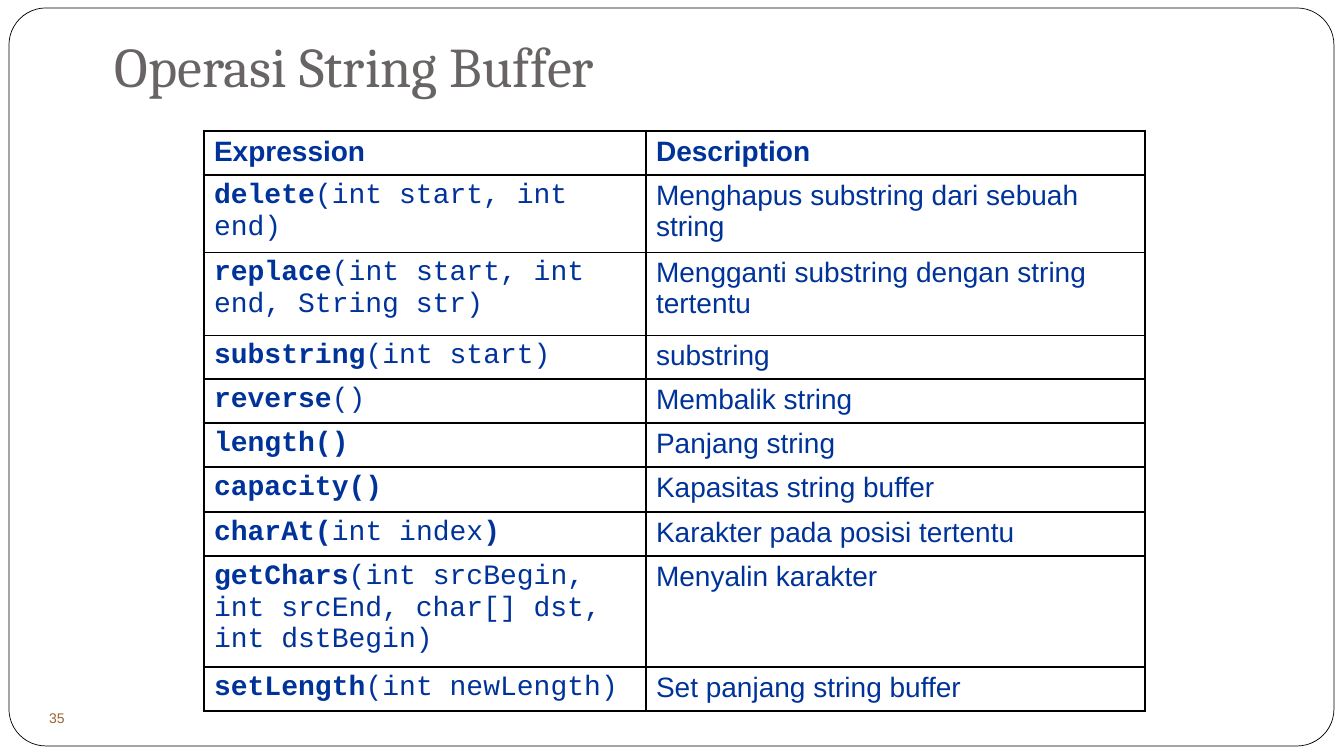
from lxml import etree
from pptx import Presentation
from pptx import util as u
from pptx.dml.color import RGBColor
from pptx.enum import shapes, text
from pptx.oxml.ns import qn

SCALE = 914400 / 100.8
COLORS = {"paper": "FFFFFF", "ink": "000000", "title": "696464", "table": "003399", "number": "996633"}
SANS, MONO = "Arial", "Courier New"
COLUMNS = [442, 499]
ROW_HEIGHTS = [44, 77, 83, 43, 44, 44, 45, 44, 111, 44]
OPERATIONS = [
    ([("delete", True), ("(int start, int end)", False)], "Menghapus substring dari sebuah string"),
    ([("replace", True), ("(int start, int end, String str)", False)],
     "Mengganti substring dengan string tertentu"),
    ([("substring", True), ("(int start)", False)], "substring"),
    ([("reverse", True), ("()", False)], "Membalik string"),
    ([("length()", True)], "Panjang string"),
    ([("capacity()", True)], "Kapasitas string buffer"),
    ([("charAt(", True), ("int index", False), (")", True)], "Karakter pada posisi tertentu"),
    ([("getChars", True), ("(int srcBegin, int srcEnd, char[] dst, int dstBegin)", False)],
     "Menyalin karakter"),
    ([("setLength", True), ("(int newLength)", False)], "Set panjang string buffer"),
]


def px(length):
    """Turn pixels into EMU."""
    return u.Emu(round(length * SCALE))


def color(name):
    """Look up a named colour."""
    return RGBColor.from_string(COLORS[name])


def add_run(paragraph, words, font, size, color_name, bold=False):
    """Append one formatted run to a paragraph."""
    run = paragraph.add_run()
    run.text = words
    run.font.name = font
    run.font.size = u.Pt(size)
    run.font.bold = bold
    run.font.color.rgb = color(color_name)


def set_margins(frame, left, top, right, bottom):
    """Set the inner margins of a text frame."""
    frame.margin_left, frame.margin_top = px(left), px(top)
    frame.margin_right, frame.margin_bottom = px(right), px(bottom)


def add_frame(slide):
    """Draw the rounded border of the slide."""
    shape = slide.shapes.add_shape(
        shapes.MSO_SHAPE.ROUNDED_RECTANGLE, px(9), px(8), px(1325), px(738))
    shape.adjustments[0] = 0.05
    shape.shadow.inherit = False
    shape.fill.solid()
    shape.fill.fore_color.rgb = color("paper")
    shape.line.color.rgb = color("ink")
    shape.line.width = u.Pt(0.5)


def add_number(slide, number):
    """Place the slide number in an unfilled ellipse."""
    shape = slide.shapes.add_shape(shapes.MSO_SHAPE.OVAL, px(21), px(684), px(68), px(50))
    shape.shadow.inherit = False
    shape.fill.background()
    shape.line.fill.background()
    frame = shape.text_frame
    set_margins(frame, 4, 18, 0, 0)
    frame.word_wrap = False
    frame.vertical_anchor = text.MSO_ANCHOR.MIDDLE
    paragraph = frame.paragraphs[0]
    paragraph.alignment = text.PP_ALIGN.CENTER
    add_run(paragraph, number, SANS, 10, "number")


def add_title(slide, words):
    """Write the slide title."""
    frame = slide.shapes.add_textbox(px(105), px(25), px(1183), px(84)).text_frame
    set_margins(frame, 10, 5, 10, 10)
    frame.word_wrap = True
    frame.vertical_anchor = text.MSO_ANCHOR.BOTTOM
    add_run(frame.paragraphs[0], words, "Cambria", 40, "title")


def set_borders(cell, widths):
    """Draw the left, right, top and bottom borders of a cell."""
    properties = cell._tc.get_or_add_tcPr()
    for index, (side, width) in enumerate(zip("LRTB", widths)):
        line = etree.Element(qn(f"a:ln{side}"), w=str(u.Pt(width)))
        fill = etree.SubElement(line, qn("a:solidFill"))
        etree.SubElement(fill, qn("a:srgbClr"), val=COLORS["ink"])
        properties.insert(index, line)


def add_operations(slide):
    """Build the table of expressions and descriptions."""
    rows = [([("Expression", True)], SANS, [("Description", True)])]
    rows += [(expression, MONO, [(description, False)]) for expression, description in OPERATIONS]
    table = slide.shapes.add_table(
        len(rows), len(COLUMNS), px(204), px(131), px(sum(COLUMNS)), px(sum(ROW_HEIGHTS))).table
    table.first_row = table.horz_banding = False
    for column, width in zip(table.columns, COLUMNS):
        column.width = px(width)
    last = len(rows) - 1
    for index, (expression, font, description) in enumerate(rows):
        table.rows[index].height = px(ROW_HEIGHTS[index])
        for column, (runs, face) in enumerate([(expression, font), (description, SANS)]):
            cell = table.cell(index, column)
            cell.fill.background()
            outer = [column == 0, column == 1, index == 0, index == last]
            set_borders(cell, [2.25 if edge else 1 for edge in outer])
            for words, bold in runs:
                add_run(cell.text_frame.paragraphs[0], words, face, 20, "table", bold)


def main():
    """Build and save the slide."""
    presentation = Presentation()
    presentation.slide_width, presentation.slide_height = px(1344), px(756)
    slide = presentation.slides.add_slide(presentation.slide_layouts[6])
    add_frame(slide)
    add_number(slide, "35")
    add_title(slide, "Operasi String Buffer")
    add_operations(slide)
    presentation.save("out.pptx")


if __name__ == "__main__":
    main()
